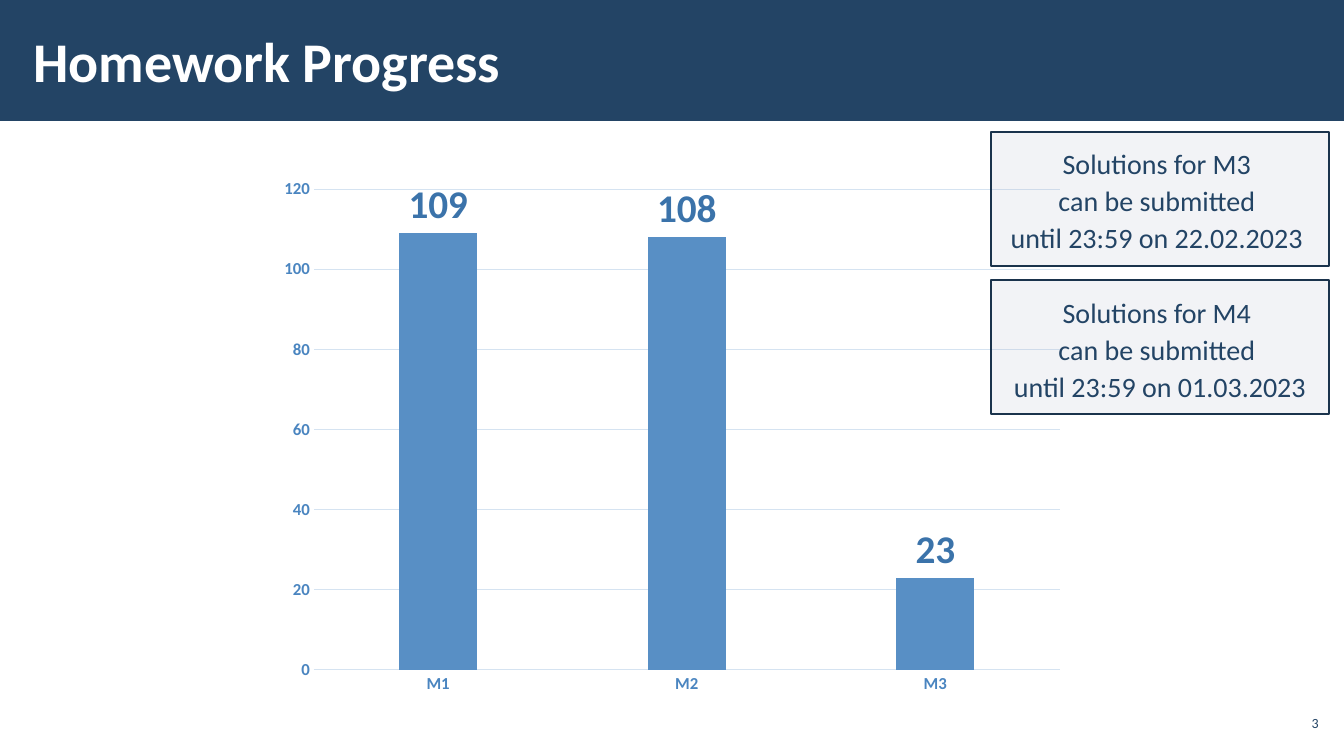
import lxml.etree
import pptx
import pptx.chart.data
import pptx.dml.color
import pptx.enum.chart
import pptx.enum.shapes
import pptx.enum.text
import pptx.oxml.ns
import pptx.util

EMU_PER_PX = 9144
FONT = "Calibri"
COLOURS = {
    "navy": "234465", "white": "FFFFFF", "bar": "588FC5", "label": "3B73AA",
    "axis": "4A85C0", "grid": "D5E3F1", "note": "ADB4C3", "edge": "1A334C",
}
DEADLINES = [("M3", "22.02.2023 "), ("M4", "01.03.2023")]
COUNTS = {"M1": 109, "M2": 108, "M3": 23}


def px(length):
    """Turn pixels into EMU."""
    return pptx.util.Emu(length * EMU_PER_PX)


def colour(name):
    """Look up a named colour."""
    return pptx.dml.color.RGBColor.from_string(COLOURS[name])


def style_font(font, size, name, bold=False):
    """Set the face, size, colour and weight of a font."""
    font.name, font.size, font.bold = FONT, pptx.util.Pt(size), bold
    font.color.rgb = colour(name)


def style_line(line, name, width):
    """Set the colour and width of a line."""
    line.color.rgb = colour(name)
    line.width = pptx.util.Pt(width)


def write(shape, lines, size, name, align, insets, bold=False, spacing=None):
    """Fill a shape with one paragraph for each line."""
    frame = shape.text_frame
    frame.word_wrap = True
    frame.auto_size = pptx.enum.text.MSO_AUTO_SIZE.NONE
    frame.vertical_anchor = pptx.enum.text.MSO_ANCHOR.MIDDLE
    frame.margin_left = frame.margin_right = px(insets[0])
    frame.margin_top = frame.margin_bottom = px(insets[1])
    for index, line in enumerate(lines):
        para = frame.add_paragraph() if index else frame.paragraphs[0]
        para.alignment = align
        para.line_spacing = spacing
        span = para.add_run()
        span.text = line
        style_font(span.font, size, name, bold)


def add_box(page, left, top, width, height, fill):
    """Add a filled rectangle without shadow."""
    box = page.shapes.add_shape(
        pptx.enum.shapes.MSO_SHAPE.RECTANGLE, px(left), px(top), px(width), px(height))
    box.shadow.inherit = False
    box.fill.solid()
    box.fill.fore_color.rgb = colour(fill)
    return box


def add_header(page, left, top, width, height):
    """Place the title on its band."""
    band = add_box(page, left, top, width, height, "navy")
    band.line.fill.background()
    title = page.shapes.title
    band.element.addnext(title.element)
    title.left, title.top = px(left + 21), px(top + 11)
    title.width, title.height = px(1063), px(height - 23)
    write(title, ["Homework Progress"], 40, "white",
          pptx.enum.text.PP_ALIGN.LEFT, (12, 4), bold=True)


def add_page_number(page, left, top, width, height):
    """Write the page number at the right of its box."""
    box = page.shapes.add_textbox(px(left), px(top), px(width), px(height))
    write(box, ["3"], 10, "navy", pptx.enum.text.PP_ALIGN.RIGHT, (4, 4))


def add_progress_chart(page, left, top, width, height):
    """Chart the homework count of each milestone."""
    data = pptx.chart.data.CategoryChartData()
    data.categories = list(COUNTS)
    data.add_series("Series 1", list(COUNTS.values()))
    chart = page.shapes.add_chart(
        pptx.enum.chart.XL_CHART_TYPE.COLUMN_CLUSTERED,
        px(left), px(top), px(width), px(height), data).chart
    chart.has_legend = chart.has_title = False
    style_font(chart.font, 10, "navy")
    plot = chart.plots[0]
    plot.gap_width, plot.overlap, plot.vary_by_categories = 219, -27, False
    bars = plot.series[0]
    bars.format.fill.solid()
    bars.format.fill.fore_color.rgb = colour("bar")
    labels = bars.data_labels
    labels.show_value = True
    labels.position = pptx.enum.chart.XL_LABEL_POSITION.OUTSIDE_END
    style_font(labels.font, 28, "label", bold=True)
    for axis in (chart.category_axis, chart.value_axis):
        axis.major_tick_mark = axis.minor_tick_mark = pptx.enum.chart.XL_TICK_MARK.NONE
        style_font(axis.tick_labels.font, 12, "axis", bold=True)
    style_line(chart.category_axis.format.line, "grid", 0.75)
    counts = chart.value_axis
    counts.minimum_scale, counts.maximum_scale, counts.major_unit = 0, 120, 20
    counts.format.line.fill.background()
    counts.has_major_gridlines = True
    style_line(counts.major_gridlines.format.line, "grid", 0.75)


def add_deadline(page, left, top, width, height, milestone, date):
    """Add a translucent note with the deadline of a milestone."""
    box = add_box(page, left, top, width, height, "note")
    tint = box.element.spPr.find(
        pptx.oxml.ns.qn("a:solidFill") + "/" + pptx.oxml.ns.qn("a:srgbClr"))
    lxml.etree.SubElement(tint, pptx.oxml.ns.qn("a:alpha"), val="15000")
    style_line(box.line, "edge", 1)
    lines = [f"Solutions for {milestone} ", "can be submitted ", f"until 23:59 on {date}"]
    write(box, lines, 20, "navy", pptx.enum.text.PP_ALIGN.CENTER, (16, 12), spacing=1.1)


def main():
    """Build the deck."""
    deck = pptx.Presentation()
    deck.slide_width, deck.slide_height = px(1333), px(750)
    page = deck.slides.add_slide(deck.slide_layouts.get_by_name("Title Only"))
    add_header(page, 0, 0, 1333, 120)
    add_page_number(page, 1265, 700, 47, 34)
    add_progress_chart(page, 266, 167, 801, 532)
    for row, (milestone, date) in enumerate(DEADLINES):
        add_deadline(page, 983, 131 + 147 * row, 335, 133, milestone, date)
    deck.save("out.pptx")


if __name__ == "__main__":
    main()
